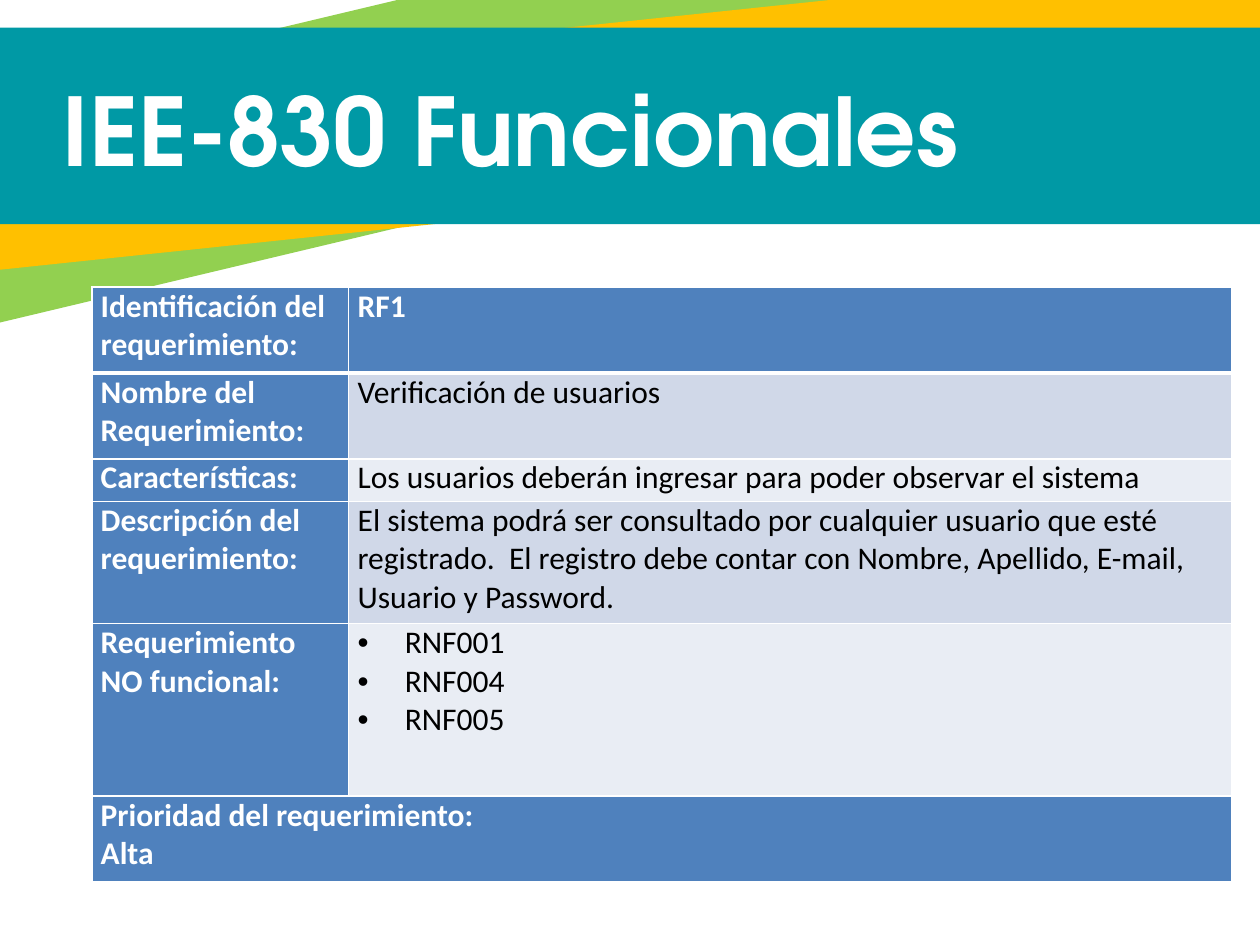
from lxml import etree
from pptx import Presentation
from pptx.dml.color import RGBColor
from pptx.enum.shapes import MSO_SHAPE
from pptx.enum.text import MSO_ANCHOR
from pptx.oxml.ns import qn
from pptx.util import Cm, Pt

RECTANGLE = MSO_SHAPE.RECTANGLE
MIDDLE = MSO_ANCHOR.MIDDLE

WHITE, BLACK = "FFFFFF", "000000"
HEADER_BLUE, DARK_BAND, LIGHT_BAND = "4F81BD", "D0D8E8", "E9EDF4"


def color(value):
    return RGBColor.from_string(value)


def add_run(paragraph, text, font_name, size, text_color, bold):
    run = paragraph.add_run()
    run.text = text
    run.font.name = font_name
    run.font.size = Pt(size)
    run.font.bold = bold
    run.font.color.rgb = color(text_color)


presentation = Presentation()
presentation.slide_width = Cm(25.4)
presentation.slide_height = Cm(19.05)
slide = presentation.slides.add_slide(presentation.slide_layouts[6])

# Coloured bands behind the title: left, top, width, height, rotation, fill
bands = [
    (-6.38, -0.46, 33.17, 4.47, 346.6, "92D050"),
    (-2.79, 0.51, 29.54, 3.66, 354, "FFC000"),
    (-2.69, 0.56, 29.54, 3.96, 0, "0099A5"),
]
for left, top, width, height, rotation, fill in bands:
    band = slide.shapes.add_shape(RECTANGLE, Cm(left), Cm(top), Cm(width), Cm(height))
    band.rotation = rotation
    band.shadow.inherit = False
    band.fill.solid()
    band.fill.fore_color.rgb = color(fill)
    band.line.fill.background()

# Title
title = slide.shapes.add_textbox(Cm(1.02), Cm(1.27), Cm(25.04), Cm(2.67))
title.text_frame.word_wrap = True
title.text_frame.vertical_anchor = MIDDLE
add_run(title.text_frame.paragraphs[0], "IEE-830 Funcionales", "TeX Gyre Adventor", 54, WHITE, True)

# Requirement table: height, label lines, value lines, value fill
rows = [
    (1.73, ["Identificación del requerimiento:"], ["RF1"], HEADER_BLUE),
    (1.73, ["Nombre del Requerimiento:"], ["Verificación de usuarios"], DARK_BAND),
    (0.86, ["Características:"],
     ["Los usuarios deberán ingresar para poder observar el sistema"], LIGHT_BAND),
    (2.46, ["Descripción del requerimiento:"],
     ["El sistema podrá ser consultado por cualquier usuario que esté registrado.  "
      "El registro debe contar con Nombre, Apellido, E-mail,  Usuario y Password."], DARK_BAND),
    (3.48, ["Requerimiento NO funcional:"], ["RNF001", "RNF004", "RNF005"], LIGHT_BAND),
    (1.73, ["Prioridad del requerimiento:", "Alta"], [], HEADER_BLUE),
]
column_widths = [5.18, 17.81]
table = slide.shapes.add_table(
    len(rows), len(column_widths), Cm(1.85), Cm(5.79),
    Cm(sum(column_widths)), Cm(sum(row[0] for row in rows))).table
for column, width in zip(table.columns, column_widths):
    column.width = Cm(width)

for row_index, (height, labels, values, value_fill) in enumerate(rows):
    table.rows[row_index].height = Cm(height)
    for column_index, (lines, fill) in enumerate([(labels, HEADER_BLUE), (values, value_fill)]):
        cell = table.cell(row_index, column_index)
        cell.margin_left = cell.margin_right = Cm(0.18)
        cell.margin_top = cell.margin_bottom = 0

        # White borders, heavier around the first row's lower edge
        properties = cell._tc.get_or_add_tcPr()
        for side in ("L", "R", "T", "B"):
            heavy = (row_index, side) in ((0, "B"), (1, "T"))
            border = etree.SubElement(properties, qn("a:ln" + side), w=str(Pt(3 if heavy else 1)))
            border_fill = etree.SubElement(border, qn("a:solidFill"))
            etree.SubElement(border_fill, qn("a:srgbClr"), val=WHITE)
        cell.fill.solid()
        cell.fill.fore_color.rgb = color(fill)

        # Cell text, bulleted when a value has several lines
        on_blue = fill == HEADER_BLUE
        for line_index, line in enumerate(lines):
            frame = cell.text_frame
            paragraph = frame.add_paragraph() if line_index else frame.paragraphs[0]
            if column_index == 1 and len(lines) > 1:
                paragraph_properties = paragraph._p.get_or_add_pPr()
                paragraph_properties.set("marL", str(Cm(0.95)))
                paragraph_properties.set("indent", str(-Cm(0.95)))
                etree.SubElement(paragraph_properties, qn("a:buFont"), typeface="Arial")
                etree.SubElement(paragraph_properties, qn("a:buChar"), char="•")
            add_run(paragraph, line, "Calibri", 18, WHITE if on_blue else BLACK, on_blue)

# The priority row spans both columns
last_row = len(rows) - 1
table.cell(last_row, 0).merge(table.cell(last_row, 1))

presentation.save("out.pptx")
